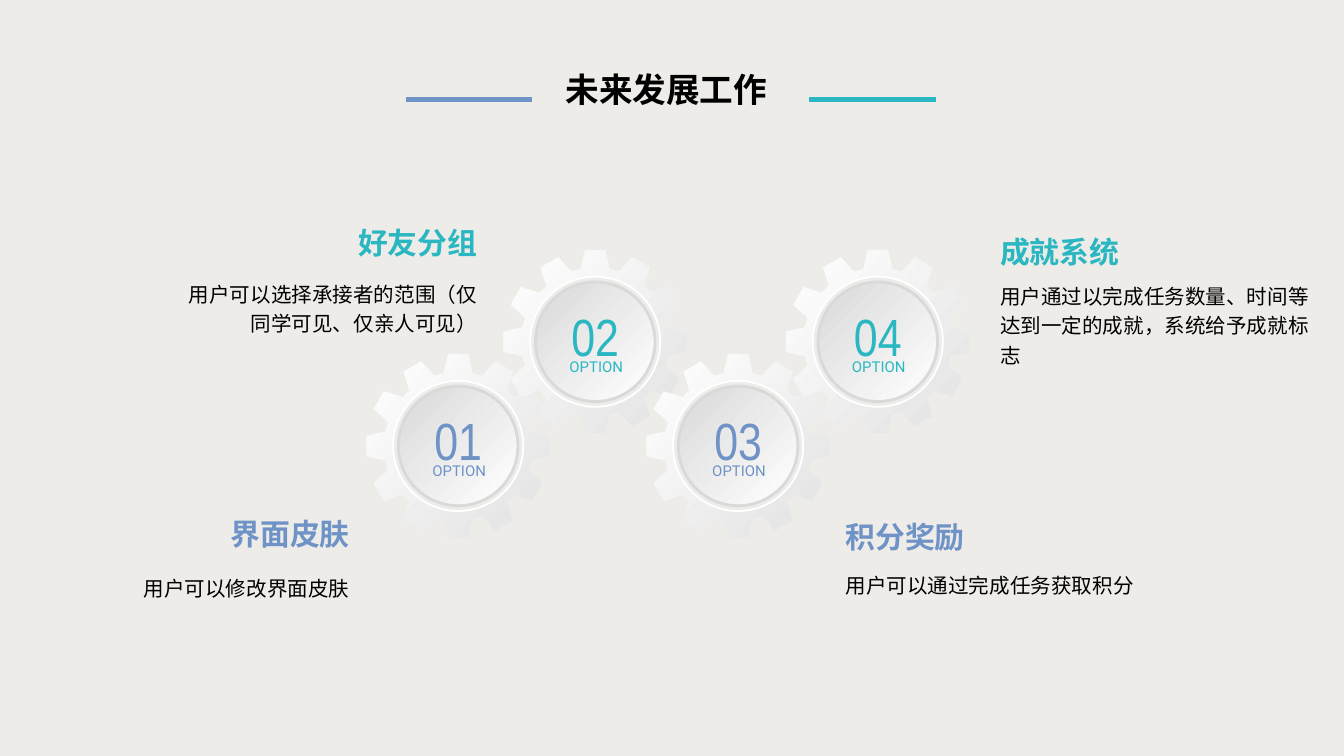
from dataclasses import dataclass
from math import cos, hypot, atan2, pi, sin

from lxml import etree
from pptx import Presentation
from pptx.dml import color as col
from pptx.enum import shapes as sh, text as tx
from pptx.oxml import ns
from pptx.util import Cm, Pt

BLUE, TEAL, BLACK = "6F93C6", "2AB7C2", "000000"
WHITE, GRAY = "FFFFFF", "D9D9D9"
HAN = "Noto Sans CJK SC"
LEFT, MID, RIGHT = tx.PP_ALIGN.LEFT, tx.PP_ALIGN.CENTER, tx.PP_ALIGN.RIGHT
TEETH = 12
TIP, ROOT, HOLE, DISC = 1.73, 1.37, 1.23, 1.13


@dataclass
class Note:
    head: str
    body: str
    hue: str
    side: tx.PP_ALIGN
    left: float
    width: float
    head_top: float
    head_high: float
    body_top: float
    body_high: float


@dataclass
class Gear:
    label: str
    hue: str
    x: float
    y: float


NOTES = [
    Note("好友分组", "用户可以选择承接者的范围（仅同学可见、仅亲人可见）",
         TEAL, RIGHT, 3.51, 5.51, 4.09, 0.99, 5.21, 1.17),
    Note("界面皮肤", "用户可以修改界面皮肤",
         BLUE, RIGHT, 1.7, 4.91, 9.68, 0.81, 10.59, 0.97),
    Note("成就系统", "用户通过以完成任务数量、时间等达到一定的成就，系统给予成就标志",
         TEAL, LEFT, 18.9, 5.99, 4.17, 1.17, 5.23, 1.75),
    Note("积分奖励", "用户可以通过完成任务获取积分",
         BLUE, LEFT, 15.98, 6.2, 9.65, 0.97, 10.44, 1.14),
]
GEARS = [
    Gear("01", BLUE, 8.66, 8.43),
    Gear("02", TEAL, 11.25, 6.46),
    Gear("03", BLUE, 13.95, 8.43),
    Gear("04", TEAL, 16.59, 6.46),
]


def rgb(code: str) -> col.RGBColor:
    return col.RGBColor.from_string(code)


def write(slide, words: str, left: float, top: float, width: float, high: float, *,
          size: float, hue: str, font: str = HAN, bold: bool = False,
          side: tx.PP_ALIGN = LEFT, space: float = 1.0, tight: bool = False) -> None:
    box = slide.shapes.add_textbox(Cm(left), Cm(top), Cm(width), Cm(high))
    frame = box.text_frame
    frame.word_wrap = True
    if tight:
        frame.margin_left = frame.margin_right = 0
        frame.margin_top = frame.margin_bottom = 0
        frame.vertical_anchor = tx.MSO_ANCHOR.MIDDLE
    else:
        frame.auto_size = tx.MSO_AUTO_SIZE.SHAPE_TO_FIT_TEXT
    para = frame.paragraphs[0]
    para.alignment = side
    para.line_spacing = space
    run = para.add_run()
    run.text = words
    run.font.size = Pt(size)
    run.font.bold = bold
    run.font.color.rgb = rgb(hue)
    run.font.name = font
    etree.SubElement(run.font._element, ns.qn("a:ea"), typeface=font)


def shade(shape, first: str, last: str) -> None:
    shape.fill.gradient()
    shape.fill.gradient_angle = 315
    for stop, place, hue in zip(shape.fill.gradient_stops, (0, 1), (first, last)):
        stop.position = place
        stop.color.rgb = rgb(hue)


def rule(slide, start: float, end: float, hue: str) -> None:
    line = slide.shapes.add_connector(
        sh.MSO_CONNECTOR.STRAIGHT, Cm(start), Cm(1.88), Cm(end), Cm(1.88))
    line.line.color.rgb = rgb(hue)
    line.line.width = Pt(2.5)
    etree.SubElement(line._element.spPr, ns.qn("a:effectLst"))


def ring(slide, gear: Gear, radius: float, hue: str, width: float):
    disc = slide.shapes.add_shape(
        sh.MSO_SHAPE.OVAL, Cm(gear.x - radius), Cm(gear.y - radius),
        Cm(2 * radius), Cm(2 * radius))
    disc.shadow.inherit = False
    disc.fill.background()
    disc.line.color.rgb = rgb(hue)
    disc.line.width = Pt(width)
    return disc


def point(gear: Gear, radius: float, angle: float) -> tuple[int, int]:
    return Cm(gear.x + radius * sin(angle)), Cm(gear.y - radius * cos(angle))


def draw(slide, gear: Gear) -> None:
    tooth = [(-0.27, ROOT), (-0.19, TIP), (0.19, TIP), (0.27, ROOT)]
    edge = [point(gear, hypot(x, y), atan2(x, y) + 2 * pi * step / TEETH)
            for step in range(TEETH) for x, y in tooth]
    inner = [point(gear, HOLE, -2 * pi * step / 72) for step in range(72)]
    path = slide.shapes.build_freeform(*edge[0])
    path.add_line_segments(edge[1:])
    path.move_to(*inner[0])
    path.add_line_segments(inner[1:])
    wheel = path.convert_to_shape()
    wheel.shadow.inherit = False
    wheel.line.fill.background()
    shade(wheel, WHITE, "E2E2E2")
    ring(slide, gear, HOLE, WHITE, 1)
    shade(ring(slide, gear, DISC, GRAY, 1.5), GRAY, WHITE)


def label(slide, gear: Gear) -> None:
    write(slide, gear.label, gear.x - 1.04, gear.y - 0.84, 2.08, 1.45,
          size=28, hue=gear.hue, font="Arial Narrow", side=MID)
    write(slide, "OPTION", gear.x - 0.76, gear.y + 0.18, 1.56, 0.94,
          size=8, hue=gear.hue, font="Roboto", side=MID)


def main() -> None:
    deck = Presentation()
    deck.slide_width, deck.slide_height = Cm(25.4), Cm(14.29)
    slide = deck.slides.add_slide(deck.slide_layouts[6])
    slide.background.fill.solid()
    slide.background.fill.fore_color.rgb = rgb("EEECE8")

    write(slide, "未来发展工作", 10.44, 1.17, 4.42, 1.02,
          size=18, hue=BLACK, bold=True)
    rule(slide, 7.67, 10.06, BLUE)
    rule(slide, 15.29, 17.68, TEAL)
    for note in NOTES:
        write(slide, note.body, note.left, note.body_top, note.width, note.body_high,
              size=11, hue=BLACK, side=note.side, space=1.2, tight=True)
        write(slide, note.head, note.left, note.head_top, note.width, note.head_high,
              size=16, hue=note.hue, bold=True, side=note.side, tight=True)
    for gear in GEARS:
        draw(slide, gear)
    for gear in GEARS:
        label(slide, gear)
    deck.save("out.pptx")


if __name__ == "__main__":
    main()
